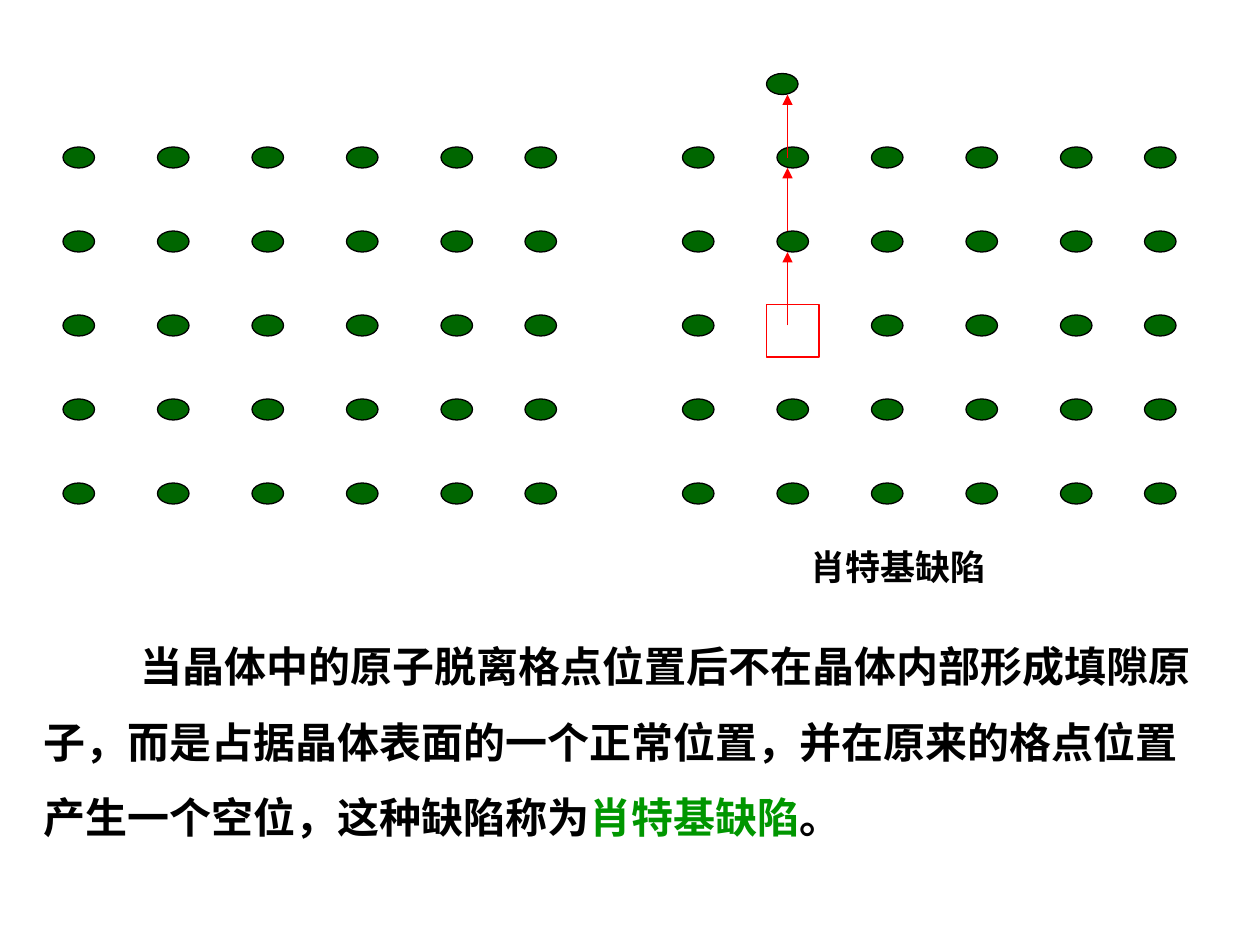
from lxml import etree
from pptx import Presentation
from pptx.dml.color import RGBColor
from pptx.enum import shapes, text
from pptx.oxml import ns
from pptx.util import Pt

BLACK = RGBColor(0x00, 0x00, 0x00)
ATOM_GREEN = RGBColor(0x00, 0x66, 0x00)
TERM_GREEN = RGBColor(0x00, 0x96, 0x00)
RED = RGBColor(0xFF, 0x00, 0x00)
FONT = "Times New Roman"

# Content
DEFECT = "肖特基缺陷"
DEFINITION = [
    ("当晶体中的原子脱离格点位置后不在晶体内部形成填隙原子，"
     "而是占据晶体表面的一个正常位置，并在原来的格点位置产生一个空位，"
     "这种缺陷称为", BLACK),
    (DEFECT, TERM_GREEN),
    ("。", BLACK),
]

# Lattice geometry, in points
COLUMNS = [0, 54, 108, 162, 216, 264]
ROWS = [84 + 48 * row for row in range(5)]
ATOM_WIDTH, ATOM_HEIGHT = 18, 12
PERFECT_LEFT, DEFECTIVE_LEFT = 36, 390
VACANCY = (2, 1)  # row, column
SURFACE_ATOM = (438, 42)
VACANCY_BOX = (438, 174, 30, 30)
JUMP_X = 450
JUMPS = [(186, 144), (132, 96), (90, 54)]  # start and end heights


def add_outlined(group, kind, box, line_color):
    shape = group.shapes.add_shape(kind, *map(Pt, box))
    shape.shadow.inherit = False
    shape.line.color.rgb = line_color
    shape.line.width = Pt(0.75)
    return shape


def add_atom(group, left, top):
    atom = add_outlined(group, shapes.MSO_SHAPE.OVAL,
                        (left, top, ATOM_WIDTH, ATOM_HEIGHT), BLACK)
    atom.fill.solid()
    atom.fill.fore_color.rgb = ATOM_GREEN


def add_lattice(slide, left, vacancy=None):
    lattice = slide.shapes.add_group_shape()
    for row, top in enumerate(ROWS):
        for column, offset in enumerate(COLUMNS):
            if (row, column) != vacancy:
                add_atom(lattice, left + offset, top)
    return lattice


def add_jump(group, start, end):
    jump = group.shapes.add_connector(
        shapes.MSO_CONNECTOR.STRAIGHT, Pt(JUMP_X), Pt(start), Pt(JUMP_X), Pt(end))
    jump.line.color.rgb = RED
    jump.line.width = Pt(0.75)
    etree.SubElement(jump.line._get_or_add_ln(), ns.qn("a:tailEnd"), type="triangle")
    etree.SubElement(jump._element.spPr, ns.qn("a:effectLst"))


def add_text(parent, box, runs, size, wrap):
    frame = parent.shapes.add_textbox(*map(Pt, box)).text_frame
    frame.word_wrap = wrap
    frame.auto_size = text.MSO_AUTO_SIZE.SHAPE_TO_FIT_TEXT
    paragraph = frame.paragraphs[0]
    for wording, color in runs:
        run = paragraph.add_run()
        run.text = wording
        run.font.name = FONT
        run.font.size = Pt(size)
        run.font.bold = True
        run.font.color.rgb = color
    return paragraph


def main():
    deck = Presentation()
    deck.slide_width, deck.slide_height = Pt(720), Pt(540)
    slide = deck.slides.add_slide(deck.slide_layouts[6])

    # Definition with an indented first line
    definition = add_text(slide, (18, 348, 678, 137), DEFINITION, 24, True)
    definition.line_spacing = 1.5
    definition._p.get_or_add_pPr().set("indent", str(Pt(55)))

    # Perfect lattice, and the one with a vacancy
    add_lattice(slide, PERFECT_LEFT)
    defective = add_lattice(slide, DEFECTIVE_LEFT, VACANCY)
    vacancy = add_outlined(defective, shapes.MSO_SHAPE.RECTANGLE, VACANCY_BOX, RED)
    vacancy.fill.background()

    # Path of the atom to the surface
    for start, end in JUMPS:
        add_jump(defective, start, end)
    add_atom(defective, *SURFACE_ATOM)
    add_text(defective, (456, 308, 114.5, 31.5), [(DEFECT, BLACK)], 20, False)

    deck.save("out.pptx")


if __name__ == "__main__":
    main()
